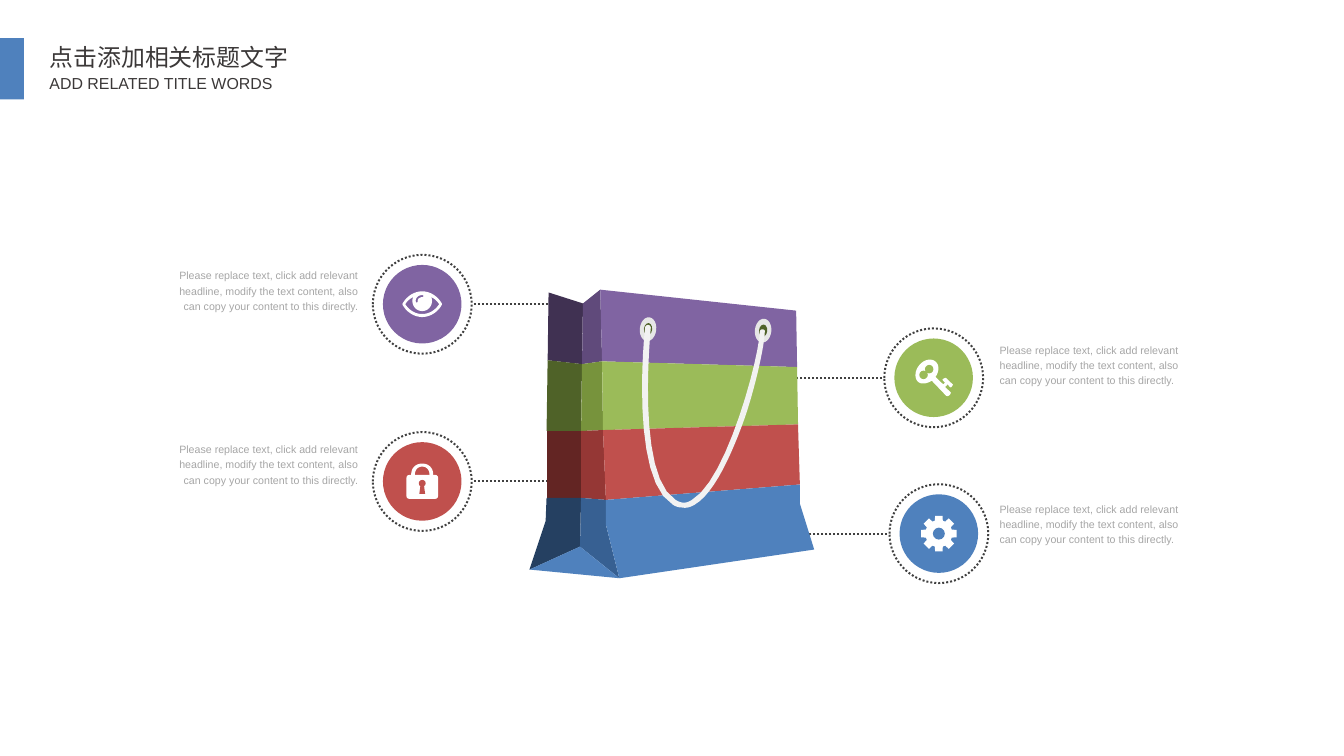
from math import cos, radians, sin

from lxml import etree
from pptx import Presentation
from pptx import util as u
from pptx.dml.color import RGBColor
from pptx.enum import dml, shapes, text
from pptx.oxml import ns

Pt = u.Pt
BLUE = RGBColor(0x4F, 0x81, 0xBD)
MID_BLUE = RGBColor(0x37, 0x60, 0x92)
DARK_BLUE = RGBColor(0x25, 0x40, 0x61)
RED = RGBColor(0xC0, 0x50, 0x4D)
MID_RED = RGBColor(0x95, 0x37, 0x35)
DARK_RED = RGBColor(0x63, 0x25, 0x23)
GREEN = RGBColor(0x9B, 0xBB, 0x59)
MID_GREEN = RGBColor(0x77, 0x93, 0x3C)
DARK_GREEN = RGBColor(0x4F, 0x62, 0x28)
PURPLE = RGBColor(0x80, 0x64, 0xA2)
MID_PURPLE = RGBColor(0x60, 0x4A, 0x7B)
DARK_PURPLE = RGBColor(0x40, 0x31, 0x52)
WHITE = RGBColor(0xFF, 0xFF, 0xFF)
EYELET = RGBColor(0xE6, 0xE6, 0xE6)
CORD = RGBColor(0xF2, 0xF2, 0xF2)
DOTS = RGBColor(0x40, 0x40, 0x40)
TITLE = RGBColor(0x3B, 0x38, 0x38)
CAPTION = RGBColor(0xA6, 0xA6, 0xA6)

CAPTION_TEXT = ("Please replace text, click add relevant headline, modify the text "
                "content, also can copy your content to this directly.")
DISC, RING = 59.2, 74.4

# Bag seams from top to bottom: back edge, fold, front edge, right edge
SEAMS = [
    [(413.3, 220.3), (439.2, 228.6), (452.2, 218.2), (599.8, 234)],
    [(412.6, 271.4), (438.5, 274.3), (453.6, 272.2), (600.5, 276.5)],
    [(411.8, 324.7), (437.8, 324.7), (454.3, 324), (601.2, 319.7)],
    [(411.8, 375.1), (437.8, 375.1), (456.5, 376.6), (602.6, 365)],
]
BANDS = [(DARK_PURPLE, MID_PURPLE, PURPLE), (DARK_GREEN, MID_GREEN, GREEN),
         (DARK_RED, MID_RED, RED)]
HANDLE = [
    (513.4, 382.3), (511.2, 382.3, 509, 381.6, 506.9, 380.2),
    (474.5, 361.4, 485.3, 251.3, 486, 247), (486, 245.5, 487.4, 244.8, 488.2, 244.8),
    (489.6, 244.8, 490.3, 246.2, 490.3, 247), (490.3, 248.4, 478.8, 358.6, 509, 376.6),
    (513.4, 379.4, 517, 379.4, 521.3, 376.6), (547.9, 361.4, 572.4, 267.1, 572.4, 249.8),
    (572.4, 249.1, 573.1, 248, 574.6, 248.2), (575.3, 248, 576.7, 249.1, 576.2, 249.8),
    (576, 259.2, 570.2, 288, 560.9, 315.4), (552.2, 339.8, 538.6, 371.5, 523.4, 380.2),
    (519.8, 382.3, 517, 383, 513.4, 382.3)]

# Icon outlines, measured from the centre of the badge
EYE_RIM = [
    (14.4, 1.1), (11.5, 6.1, 5.8, 9.7, 0, 9.7), (-5.8, 9.7, -11.5, 6.1, -14.4, 1.1),
    (-15, 0.4, -15, -0.4, -14.4, -1.1), (-11.5, -6.1, -5.8, -9.7, 0, -9.7),
    (5.8, -9.7, 11.5, -6.1, 14.4, -1.1), (15, -0.4, 15, 0.4, 14.4, 1.1)]
EYE_WHITE = [
    (6.5, -5.4), (7.2, -4.7, 7.4, -3.6, 7.4, -2.5), (7.4, 1.7, 4.2, 5.2, 0, 5.2),
    (-4.2, 5.2, -7.4, 1.7, -7.4, -2.5), (-7.4, -3.6, -7.2, -4.7, -6.5, -5.4),
    (-8.9, -4.5, -11, -2.7, -12.8, 0), (-9.9, 4.3, -5.6, 7.4, 0, 7.4),
    (5.6, 7.4, 9.9, 4.3, 12.8, 0), (11, -2.7, 8.9, -4.5, 6.5, -5.4)]
EYE_GLINT = [
    (0.2, -6.9), (-2.7, -6.9, -4.9, -5, -4.9, -2.5), (-4.9, -1.7, -4.4, -1.2, -4, -1.2),
    (-3.6, -1.2, -3.4, -1.7, -3.4, -2.5), (-3.4, -4, -2, -5.2, 0, -5.3),
    (0.4, -5.3, 0.9, -5.6, 0.9, -6.1), (0.9, -6.6, 0.6, -6.9, 0.2, -6.9)]
SHACKLE = [
    (-8.3, -4), (-8.3, -5), (-8.3, -10.5, -4.6, -13.5, 0, -13.5),
    (4.6, -13.5, 8.3, -10.5, 8.3, -5), (8.3, -4), (5.5, -4), (5.5, -5),
    (5.5, -9.5, 2.6, -11.2, 0, -11.2), (-2.6, -11.2, -5.5, -9.5, -5.5, -5), (-5.5, -4)]
KEY = [
    (-1.4, 2.2), (9.4, 13.5), (10.5, 14.4, 13, 13, 12.9, 11), (8.6, 6.9), (10.8, 4.8),
    (11.2, 6.2, 12.4, 7.2, 13, 7.2), (13.5, 7, 14.6, 5.6, 14.4, 5), (9.4, 0.2),
    (8.6, -0.2, 6.6, 1, 6.6, 1.6), (8.6, 3.6), (7.2, 5), (1.4, -0.7),
    (2.5, -2.2, 3.6, -4.5, 3.6, -7.2), (3.6, -11, 0.9, -13.7, -2.9, -13.7),
    (-8.6, -13.7, -13.7, -7.6, -13.7, -2.2), (-13.7, 2, -11.5, 4.3, -7.9, 4.3),
    (-5.4, 4.3, -3.4, 3.4, -1.4, 2.2)]


def flatten(steps, count=12):
    """Turn line ends (x, y) and cubic curves (six numbers) into points."""
    points = [steps[0]]
    for step in steps[1:]:
        if len(step) == 2:
            points.append(step)
            continue
        nodes = [points[-1], step[:2], step[2:4], step[4:]]
        for i in range(1, count + 1):
            t = i / count
            weights = ((1 - t) ** 3, 3 * t * (1 - t) ** 2, 3 * t * t * (1 - t), t ** 3)
            points.append(tuple(sum(w * n[axis] for w, n in zip(weights, nodes))
                                for axis in (0, 1)))
    return points


def paint(shape, color):
    shape.shadow.inherit = False
    shape.fill.solid()
    shape.fill.fore_color.rgb = color
    shape.line.fill.background()


def dot(line):
    line.color.rgb = DOTS
    line.width = Pt(1.5)
    line.dash_style = dml.MSO_LINE.ROUND_DOT


def outline(page, color, *contours, at=(0, 0)):
    """Fill a shape; contours after the first one are holes."""
    builder = None
    for contour in contours:
        start, *rest = [(Pt(at[0] + x), Pt(at[1] + y)) for x, y in flatten(contour)]
        if builder is None:
            builder = page.shapes.build_freeform(*start)
        else:
            builder.move_to(*start)
        builder.add_line_segments(rest, close=True)
    paint(builder.convert_to_shape(), color)


def preset(page, kind, x, y, width, height, color):
    shape = page.shapes.add_shape(kind, Pt(x), Pt(y), Pt(width), Pt(height))
    paint(shape, color)
    return shape


def oval(page, x, y, width, height, color):
    return preset(page, shapes.MSO_SHAPE.OVAL, x - width / 2, y - height / 2,
                  width, height, color)


def label(page, words, place, size, color, font="Arial", inset=(0, 0), wrap=True):
    box = page.shapes.add_textbox(*map(Pt, place))
    frame = box.text_frame
    frame.word_wrap = wrap
    frame.margin_left = frame.margin_right = Pt(inset[0])
    frame.margin_top = frame.margin_bottom = Pt(inset[1])
    frame.text = words
    para = frame.paragraphs[0]
    span = para.runs[0]
    span.font.name, span.font.size = font, Pt(size)
    span.font.color.rgb = color
    east_asian = etree.SubElement(span.font._element, ns.qn("a:ea"))
    east_asian.set("typeface", font)
    return para


def eye(page, x, y, color):
    outline(page, WHITE, EYE_RIM, EYE_WHITE, EYE_GLINT, at=(x, y))


def lock(page, x, y, color):
    outline(page, WHITE, SHACKLE, at=(x, y))
    body = preset(page, shapes.MSO_SHAPE.ROUNDED_RECTANGLE, x - 12, y - 5, 24, 18.2, WHITE)
    body.adjustments[0] = 0.14
    oval(page, x, y + 1.4, 5.2, 5.2, color)
    outline(page, color, [(-1.2, 2), (1.2, 2), (2.2, 9.4), (-2.2, 9.4)], at=(x, y))


def key(page, x, y, color):
    outline(page, WHITE, KEY, at=(x, y))
    for dx, dy in ((-3.4, -6.5), (-7.6, -2.2)):
        oval(page, x + dx, y + dy, 6.4, 6.4, color)


def gear(page, x, y, color):
    profile = [(10.2, -17), (13.7, -12), (13.7, 12), (10.2, 17)]
    teeth = [(r * cos(radians(turn + a)), r * sin(radians(turn + a)))
             for turn in range(0, 360, 45) for r, a in profile]
    outline(page, WHITE, teeth, at=(x, y))
    oval(page, x, y, 9, 9, color)


def badge(page, icon, color, x, y, bag_x, caption_y):
    on_left = x < bag_x
    line_x = x + 39 if on_left else x - 39
    line = page.shapes.add_connector(shapes.MSO_CONNECTOR.STRAIGHT,
                                     Pt(line_x), Pt(y), Pt(bag_x), Pt(y))
    dot(line.line)
    etree.SubElement(line._element.spPr, ns.qn("a:effectLst"))
    oval(page, x, y, DISC, DISC, color)
    ring = oval(page, x, y, RING, RING, color)
    ring.fill.background()
    dot(ring.line)
    icon(page, x, y, color)
    para = label(page, CAPTION_TEXT, (130.3 if on_left else 753.1, caption_y, 139.7, 32.4),
                 8, CAPTION)
    para.line_spacing = 1.2
    para.alignment = text.PP_ALIGN.RIGHT if on_left else text.PP_ALIGN.LEFT


def bag(page):
    # Three coloured bands, each across side, gusset and front
    for upper, lower, colors in zip(SEAMS, SEAMS[1:], BANDS):
        for i, color in enumerate(colors):
            outline(page, color, [upper[i], upper[i + 1], lower[i + 1], lower[i]])
    # Flared base
    back, fold, front, right = SEAMS[-1]
    tip, crease, corner = (398.9, 429.1), (437, 411.8), (466.6, 435.6)
    bend = (456.5, 395.3)
    outline(page, DARK_BLUE, [back, fold, crease, tip, (411.1, 392.4)])
    outline(page, MID_BLUE, [fold, front, bend, corner, crease])
    outline(page, BLUE, [front, right, (602.6, 379.4), (613.4, 414), corner, bend])
    outline(page, BLUE, [tip, crease, corner])
    # Eyelets and cord
    for x, y in ((574.9, 249.1), (488.2, 248)):
        for width, height, color in ((12.4, 18, EYELET), (6.2, 9.2, DARK_GREEN)):
            oval(page, x, y, width, height, color).rotation = 6.1
    outline(page, CORD, HANDLE)


def main():
    deck = Presentation()
    deck.slide_width, deck.slide_height = Pt(1012.5), Pt(569.5)
    page = deck.slides.add_slide(deck.slide_layouts[6])

    # Heading
    preset(page, shapes.MSO_SHAPE.RECTANGLE, 0, 28.8, 18, 46, BLUE)
    label(page, "点击添加相关标题文字", (30.2, 28.8, 195.1, 29.5), 18, TITLE,
          "Noto Sans CJK SC", (7.2, 3.6), False)
    label(page, "ADD RELATED TITLE WORDS", (30.2, 51.8, 183.6, 22.3), 12, TITLE,
          inset=(7.2, 3.6), wrap=False)

    # Badges around the bag
    badge(page, eye, PURPLE, 318.1, 229.2, 414.7, 200.9)
    badge(page, lock, RED, 318.1, 362.7, 414.7, 331.9)
    badge(page, key, GREEN, 703.4, 284.6, 587.5, 257)
    badge(page, gear, BLUE, 707.3, 402, 591.8, 376.6)
    bag(page)
    deck.save("out.pptx")


if __name__ == "__main__":
    main()
